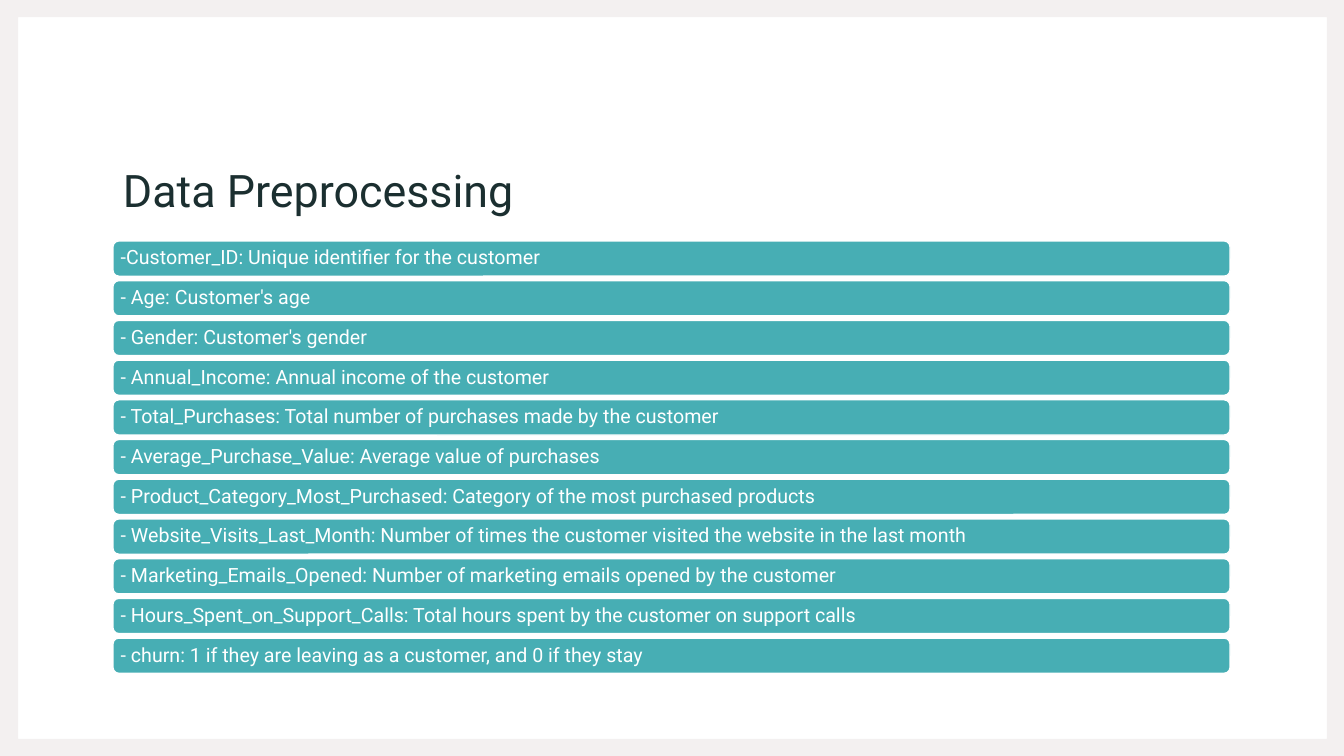
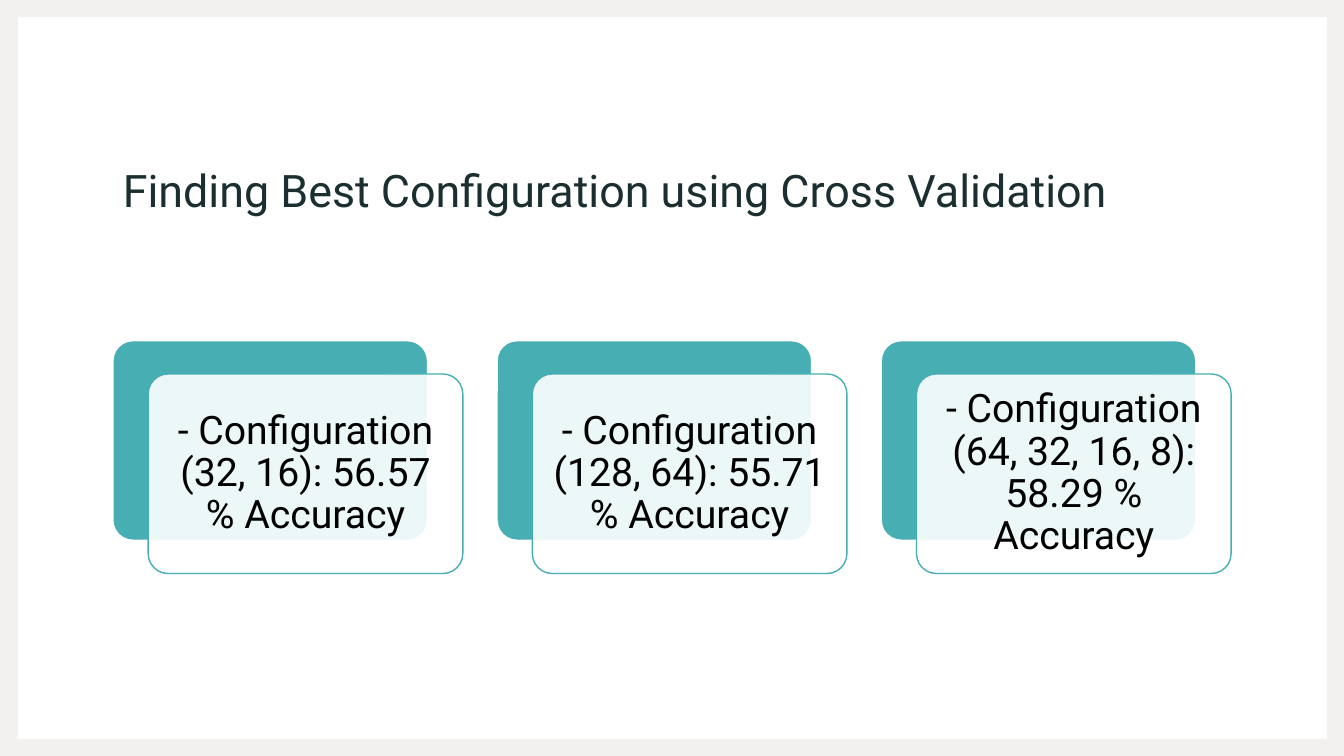
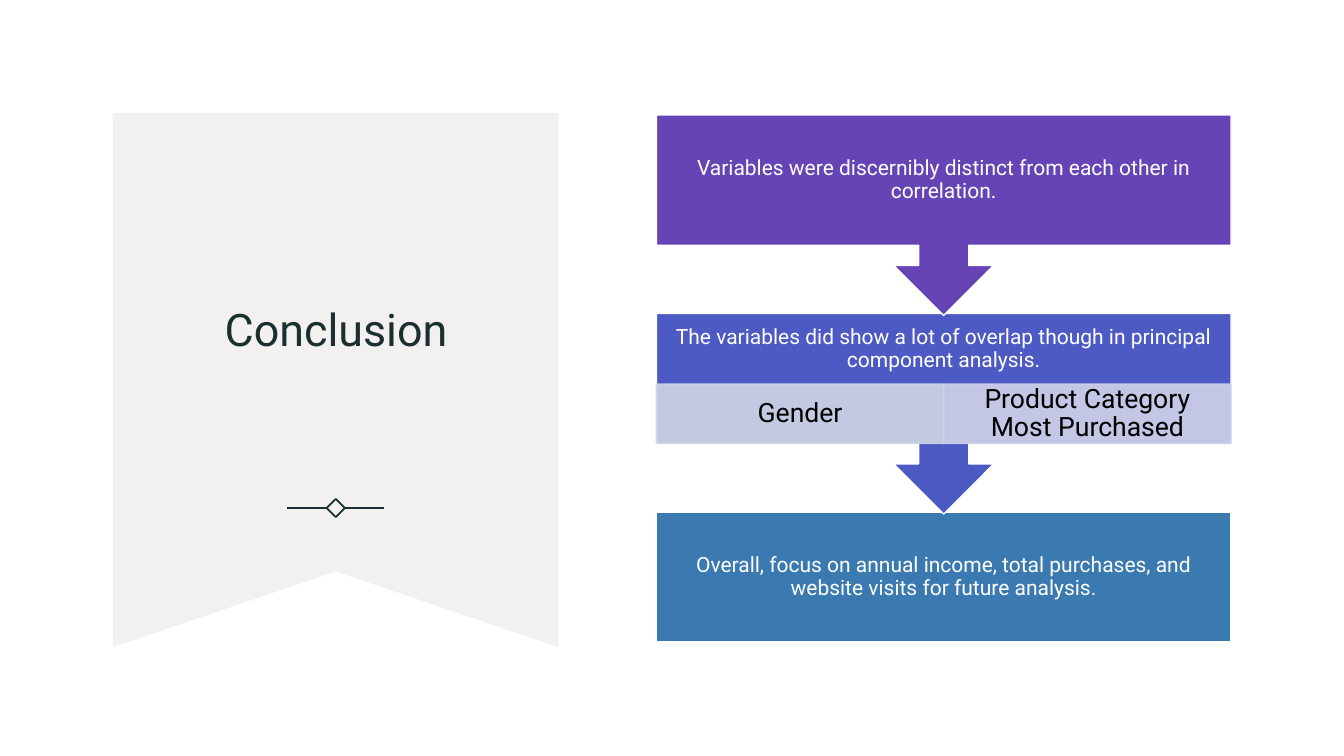
from dataclasses import dataclass
from typing import NamedTuple

from lxml import etree
from pptx import Presentation
from pptx import util as u
from pptx.dml import color
from pptx.enum import shapes, text
from pptx.oxml import ns

SHAPE = shapes.MSO_SHAPE


# Shared look
@dataclass(frozen=True)
class Theme:
    font: str = "Roboto"
    paper: str = "FFFFFF"
    stone: str = "F3F0F0"
    ink: str = "1B2F30"
    black: str = "000000"
    teal: str = "47AEB4"
    violet: str = "6744B5"
    indigo: str = "4D5AC3"
    blue: str = "3B7AB1"
    mist: str = "CED7E4"
    lilac: str = "D0D2E9"
    title_size: float = 32
    card_size: float = 28
    topic_size: float = 19
    step_size: float = 15
    field_size: float = 14
    veil: int = 90  # opacity of the see-through panels, in percent


THEME = Theme()
WIDTH, HEIGHT = 13.33, 7.5
MARGIN = 1.12


class Box(NamedTuple):
    left: float
    top: float
    width: float
    height: float

    def lengths(self) -> list[u.Length]:
        return [u.Inches(side) for side in self]


class Insets(NamedTuple):
    left: float
    top: float
    right: float
    bottom: float


class Step(NamedTuple):
    wording: str
    fill: str
    shape: shapes.MSO_SHAPE
    height: float
    bottom_inset: float


class Topic(NamedTuple):
    wording: str
    fill: str


TITLE_BOX = Box(MARGIN, 0.79, 11.08, 1.41)
TITLE_INSETS = Insets(0.1, 0.05, 0.1, 0.05)

# Content
FIELDS = [
    "-Customer_ID: Unique identifier for the customer",
    "- Age: Customer's age",
    "- Gender: Customer's gender",
    "- Annual_Income: Annual income of the customer",
    "- Total_Purchases: Total number of purchases made by the customer",
    "- Average_Purchase_Value: Average value of purchases",
    "- Product_Category_Most_Purchased: Category of the most purchased products",
    "- Website_Visits_Last_Month: Number of times the customer visited the website in the last month",
    "- Marketing_Emails_Opened: Number of marketing emails opened by the customer",
    "- Hours_Spent_on_Support_Calls: Total hours spent by the customer on support calls",
    "- churn: 1 if they are leaving as a customer, and 0 if they stay",
]
CONFIGURATIONS = [
    "- Configuration (32, 16): 56.57 % Accuracy",
    "- Configuration (128, 64): 55.71 % Accuracy",
    "- Configuration (64, 32, 16, 8): 58.29 % Accuracy",
]
STEPS = [
    Step("Variables were discernibly distinct from each other in correlation.",
         THEME.violet, SHAPE.DOWN_ARROW_CALLOUT, 1.99, 0.12),
    Step("The variables did show a lot of overlap though in principal component analysis.",
         THEME.indigo, SHAPE.DOWN_ARROW_CALLOUT, 1.99, 0.71),
    Step("Overall, focus on annual income, total purchases, and website visits for future analysis.",
         THEME.blue, SHAPE.RECTANGLE, 1.29, 0.12),
]
TOPICS = [
    Topic("Gender", THEME.mist),
    Topic("Product Category Most Purchased", THEME.lilac),
]


# Drawing helpers
def rgb(value: str) -> color.RGBColor:
    return color.RGBColor.from_string(value)


def paint(fill, value: str, opacity: int = 100) -> None:
    """Give a shape or line fill a solid colour."""
    fill.solid()
    fill.fore_color.rgb = rgb(value)
    if opacity < 100:
        solid = fill._xPr.find(ns.qn("a:solidFill"))
        etree.SubElement(solid[0], ns.qn("a:alpha"), val=str(opacity * 1000))


def write(shape, wording: str, size: float, ink: str, insets: Insets,
          align=text.PP_ALIGN.CENTER, anchor=text.MSO_ANCHOR.MIDDLE,
          spacing: float = 0.9) -> None:
    frame = shape.text_frame
    frame.word_wrap = True
    frame.vertical_anchor = anchor
    frame.margin_left, frame.margin_top, frame.margin_right, frame.margin_bottom = (
        u.Inches(inset) for inset in insets)
    paragraph = frame.paragraphs[0]
    paragraph.alignment = align
    paragraph.line_spacing = spacing
    run = paragraph.add_run()
    run.text = wording
    run.font.name = THEME.font
    run.font.size = u.Pt(size)
    run.font.color.rgb = rgb(ink)


def add_panel(slide, kind, box: Box, fill: str, line: str = THEME.paper,
              opacity: int = 100, line_opacity: int = 100):
    panel = slide.shapes.add_shape(kind, *box.lengths())
    panel.shadow.inherit = False
    paint(panel.fill, fill, opacity)
    panel.line.width = u.Pt(1)
    paint(panel.line.fill, line, line_opacity)
    return panel


def add_outline(slide, *contours: list[tuple[float, float]]) -> None:
    """Draw closed contours as one stone-coloured area."""
    points = [[(u.Inches(x), u.Inches(y)) for x, y in contour] for contour in contours]
    builder = slide.shapes.build_freeform(*points[0][0])
    for number, (start, *others) in enumerate(points):
        if number:
            builder.move_to(*start)
        builder.add_line_segments(others, close=True)
    area = builder.convert_to_shape()
    area.shadow.inherit = False
    paint(area.fill, THEME.stone)
    area.line.fill.background()


def add_title(slide, wording: str, box: Box = TITLE_BOX,
              align=text.PP_ALIGN.LEFT, anchor=text.MSO_ANCHOR.BOTTOM) -> None:
    title = slide.shapes.add_textbox(*box.lengths())
    write(title, wording, THEME.title_size, THEME.ink, TITLE_INSETS, align, anchor, 1.1)


def add_slide(deck):
    return deck.slides.add_slide(deck.slide_layouts[6])


def add_framed_slide(deck, title: str):
    slide = add_slide(deck)
    left, top, right, bottom = 0.18, 0.17, 13.16, 7.33
    add_outline(slide,
                [(left, top), (left, bottom), (right, bottom), (right, top)],
                [(0, 0), (WIDTH, 0), (WIDTH, HEIGHT), (0, HEIGHT)])
    add_title(slide, title)
    return slide


# Slides
def build_preprocessing(deck) -> None:
    slide = add_framed_slide(deck, "Data Preprocessing")
    first_top, last_top = 2.39, 6.33
    pitch = (last_top - first_top) / (len(FIELDS) - 1)
    for row, field in enumerate(FIELDS):
        bar = add_panel(slide, SHAPE.ROUNDED_RECTANGLE,
                        Box(MARGIN, first_top + row * pitch, 11.08, 0.35), THEME.teal)
        write(bar, field, THEME.field_size, THEME.paper, Insets(*[0.06] * 4),
              text.PP_ALIGN.LEFT)


def build_configurations(deck) -> None:
    slide = add_framed_slide(deck, "Finding Best Configuration using Cross Validation")
    pitch, top, width, height = 3.81, 3.38, 3.12, 1.98
    shift_x, shift_y = 0.35, 0.33
    for column, configuration in enumerate(CONFIGURATIONS):
        left = MARGIN + column * pitch
        backing = add_panel(slide, SHAPE.ROUNDED_RECTANGLE,
                            Box(left, top, width, height), THEME.teal)
        card = add_panel(slide, SHAPE.ROUNDED_RECTANGLE,
                         Box(left + shift_x, top + shift_y, width, height),
                         THEME.paper, THEME.teal, THEME.veil)
        for panel in (backing, card):
            panel.adjustments[0] = 0.1
        write(card, configuration, THEME.card_size, THEME.black, Insets(*[0.12] * 4))


def add_ornament(slide, center_x: float, center_y: float) -> None:
    """Draw a diamond between two short rules."""
    half, near, far = 0.09, 0.09, 0.48
    diamond = slide.shapes.add_shape(
        SHAPE.DIAMOND, *Box(center_x - half, center_y - half, 2 * half, 2 * half).lengths())
    diamond.shadow.inherit = False
    diamond.fill.background()
    rules = [
        slide.shapes.add_connector(
            shapes.MSO_CONNECTOR.STRAIGHT,
            u.Inches(center_x + side * near), u.Inches(center_y),
            u.Inches(center_x + side * far), u.Inches(center_y))
        for side in (-1, 1)
    ]
    for part in (diamond, *rules):
        part.line.width = u.Pt(1.25)
        paint(part.line.fill, THEME.ink)
    for rule in rules:
        etree.SubElement(rule._element.spPr, ns.qn("a:effectLst"))


def build_conclusion(deck) -> None:
    slide = add_slide(deck)

    # Banner with title
    left, center, right = MARGIN, 3.33, 5.54
    top, notch, bottom = 1.12, 5.67, 6.42
    add_outline(slide, [(left, top), (right, top), (right, bottom),
                        (center, notch), (left, bottom)])
    add_title(slide, "Conclusion", Box(1.56, 1.81, 3.55, 2.85),
              text.PP_ALIGN.CENTER, text.MSO_ANCHOR.MIDDLE)
    add_ornament(slide, center, 5.04)

    # Steps, last one first so that each arrow tip lies on the next step
    flow_left, flow_top, flow_width, pitch = 6.51, 1.14, 5.7, 1.97
    for row, step in reversed(list(enumerate(STEPS))):
        panel = add_panel(slide, step.shape,
                          Box(flow_left, flow_top + row * pitch, flow_width, step.height),
                          step.fill)
        write(panel, step.wording, THEME.step_size, THEME.paper,
              Insets(0.12, 0.12, 0.12, step.bottom_inset))

    # Overlapping variables inside the middle step
    topic_width = flow_width / len(TOPICS)
    for column, topic in enumerate(TOPICS):
        cell = add_panel(slide, SHAPE.RECTANGLE,
                         Box(flow_left + column * topic_width, 3.81, topic_width, 0.59),
                         topic.fill, topic.fill, THEME.veil, THEME.veil)
        write(cell, topic.wording, THEME.topic_size, THEME.black,
              Insets(0.15, 0.03, 0.15, 0.03))


def main() -> None:
    deck = Presentation()
    deck.slide_width, deck.slide_height = u.Inches(WIDTH), u.Inches(HEIGHT)
    build_preprocessing(deck)
    build_configurations(deck)
    build_conclusion(deck)
    deck.save("out.pptx")


if __name__ == "__main__":
    main()
